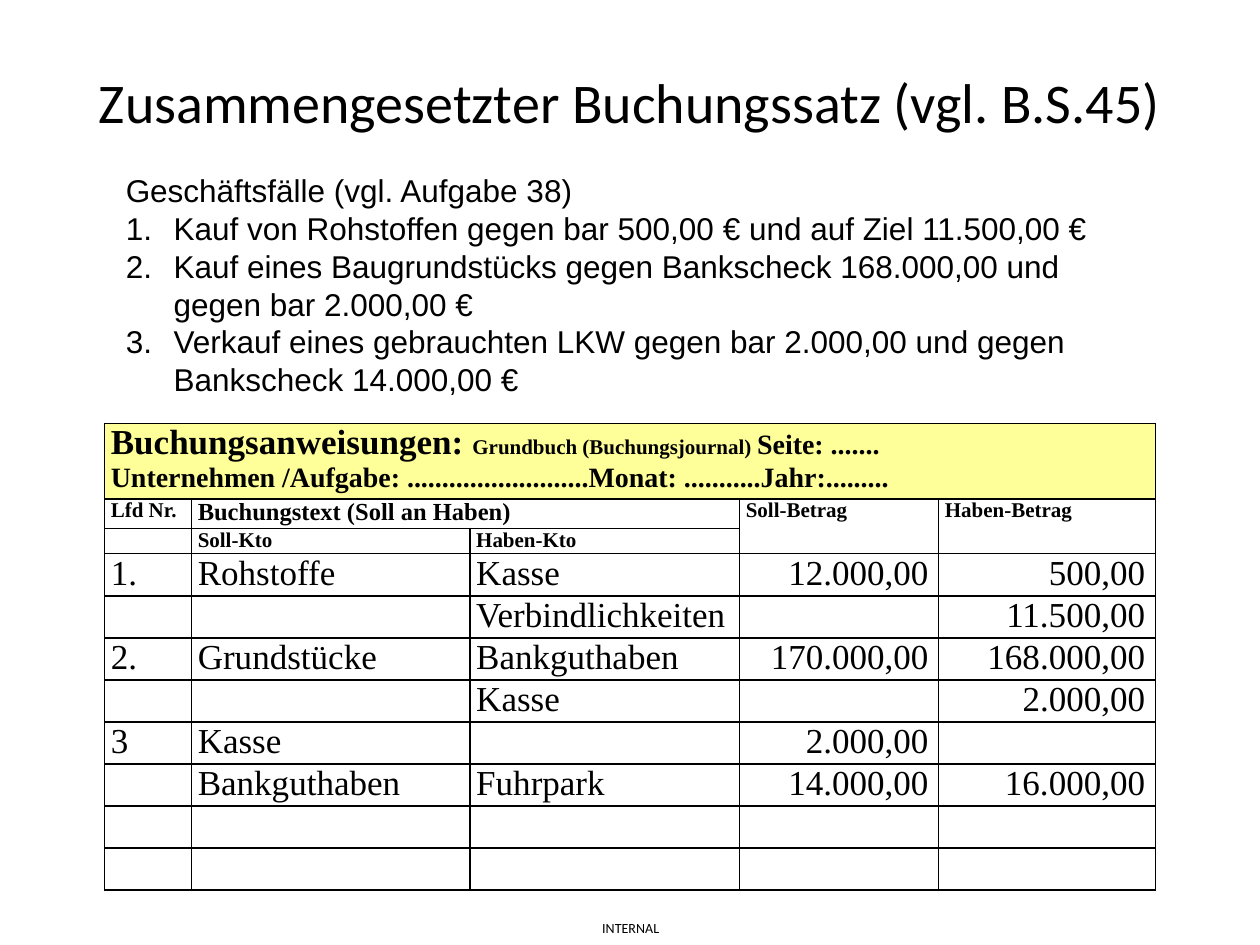
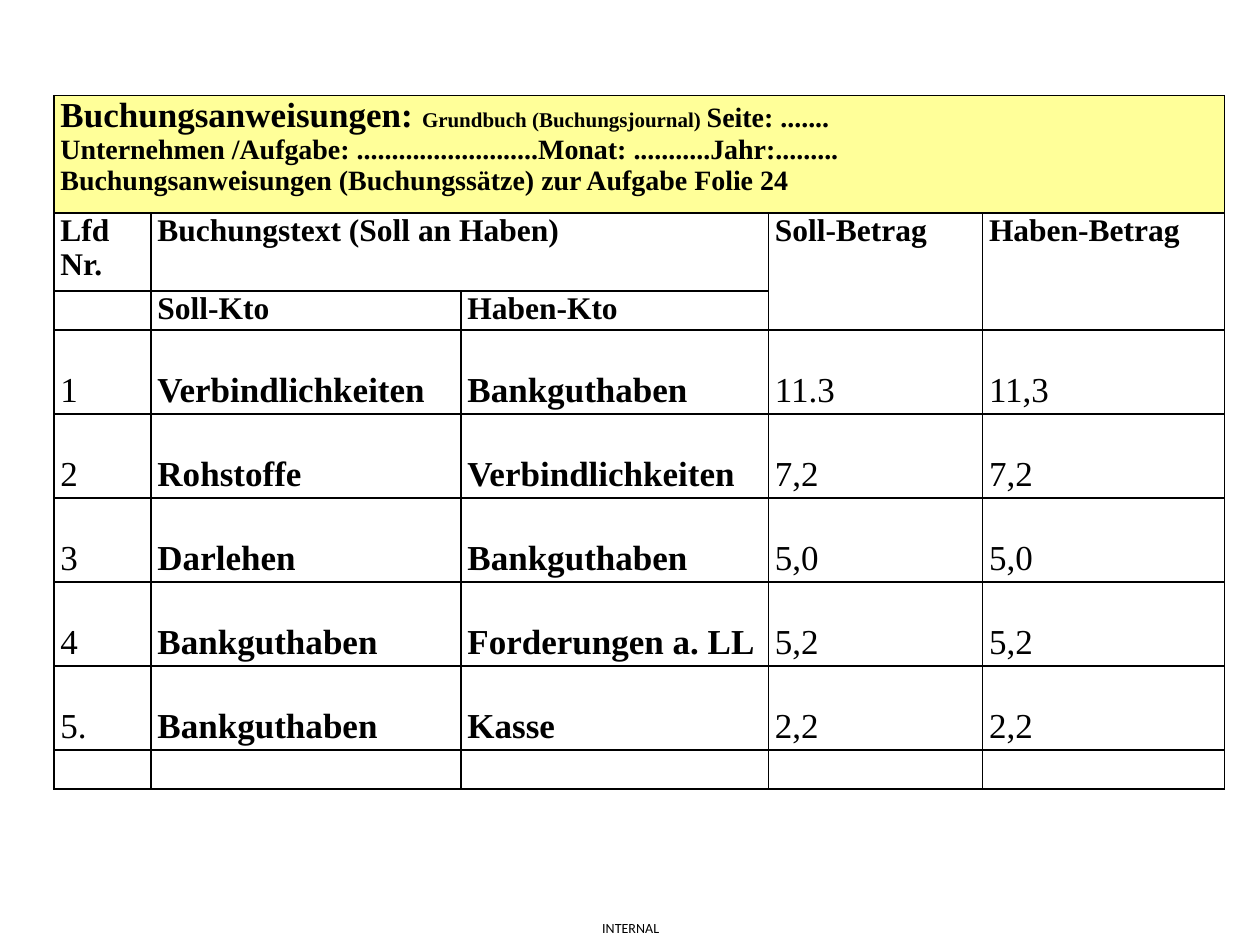
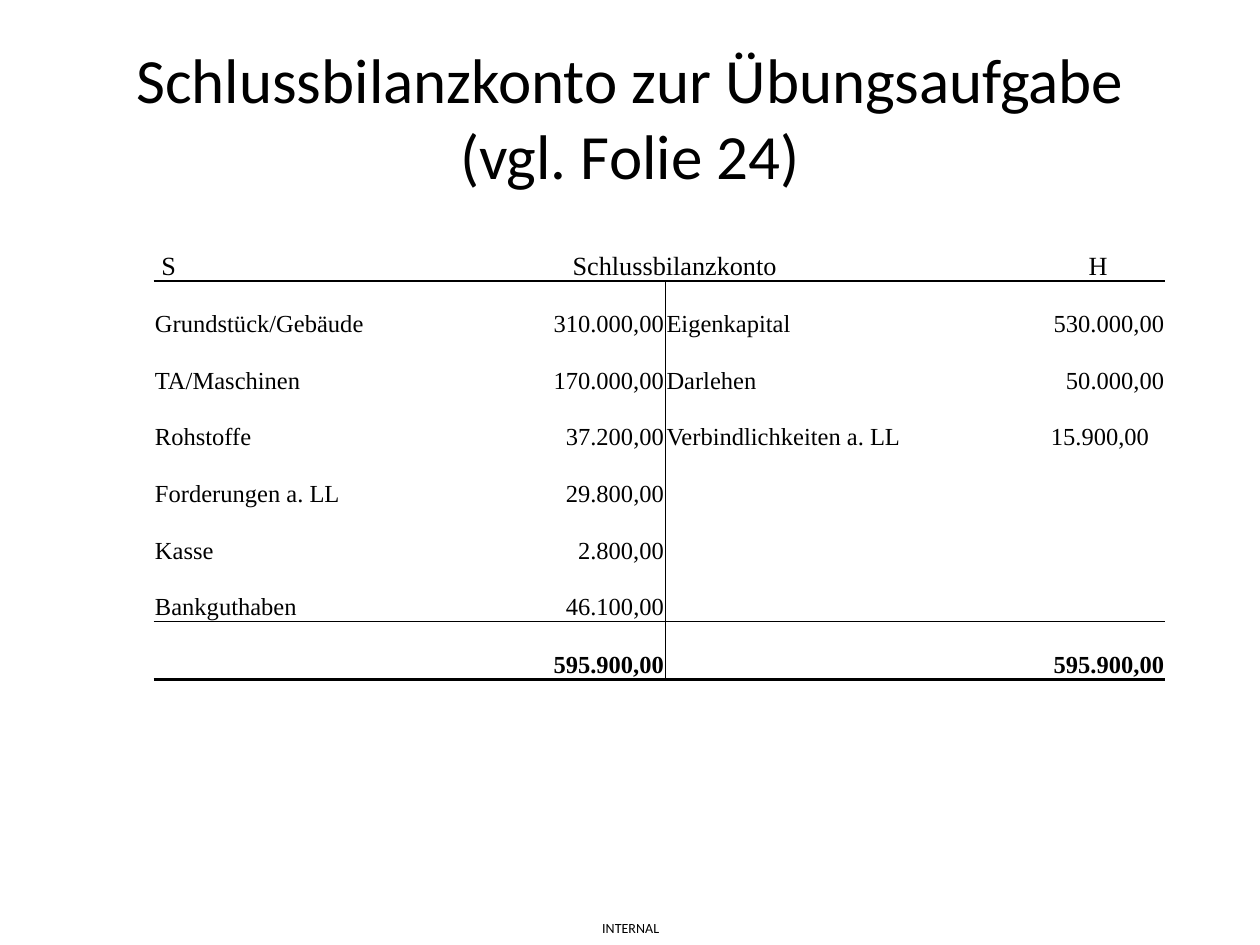
from copy import deepcopy
from dataclasses import dataclass

from lxml.etree import SubElement
from pptx import Presentation
from pptx.dml.color import RGBColor
from pptx.enum.text import MSO_ANCHOR as Anchor, PP_ALIGN as Align
from pptx.oxml.ns import qn
from pptx.util import Inches, Pt


@dataclass(frozen=True)
class Theme:
    """Colours, fonts and type sizes of the deck."""
    ink: str = "000000"
    band: str = "FFFF99"
    heading: str = "Calibri"
    body: str = "Arial"
    table: str = "Times New Roman"
    footer_size: int = 8
    body_size: int = 18
    entry_size: int = 20
    band_sizes: tuple = (20, 12, 16)
    account_sizes: tuple = (15, 14)
    no_style: str = "{2D5ABB26-0587-4C30-8999-92F81FD0307C}"


T = Theme()
W, H = 10, 7.5
FOOTER = "INTERNAL"
BAND = ("Buchungsanweisungen: ", "Grundbuch (Buchungsjournal) ",
        "Seite: .......\nUnternehmen /Aufgabe: ..........................Monat: ...........Jahr:.........")
HEADS = [["Lfd Nr.", "Buchungstext (Soll an Haben)", "", "Soll-Betrag", "Haben-Betrag"],
         ["", "Soll-Kto", "Haben-Kto", "", ""]]

CASES_TITLE = "Zusammengesetzter Buchungssatz (vgl. B.S.45)"
CASES_INTRO = "Geschäftsfälle (vgl. Aufgabe 38)"
CASES = ["Kauf von Rohstoffen gegen bar 500,00 € und auf Ziel 11.500,00 €",
         "Kauf eines Baugrundstücks gegen Bankscheck 168.000,00 und \ngegen bar 2.000,00 €",
         "Verkauf eines gebrauchten LKW gegen bar 2.000,00 und gegen\nBankscheck 14.000,00 €"]
CASE_ENTRIES = [
    ["1.", "Rohstoffe", "Kasse", "12.000,00", "500,00"],
    ["", "", "Verbindlichkeiten", "", "11.500,00"],
    ["2.", "Grundstücke", "Bankguthaben", "170.000,00", "168.000,00"],
    ["", "", "Kasse", "", "2.000,00"],
    ["3", "Kasse", "", "2.000,00", ""],
    ["", "Bankguthaben", "Fuhrpark", "14.000,00", "16.000,00"],
    [""] * 5,
    [""] * 5,
]

EXERCISE_NOTE = "\nBuchungsanweisungen (Buchungssätze) zur Aufgabe Folie 24"
EXERCISE_ENTRIES = [
    ["1", "Verbindlichkeiten", "Bankguthaben", "11.3", "11,3"],
    ["2", "Rohstoffe", "Verbindlichkeiten", "7,2", "7,2"],
    ["3", "Darlehen", "Bankguthaben", "5,0", "5,0"],
    ["4", "Bankguthaben", "Forderungen a. LL", "5,2", "5,2"],
    ["5.", "Bankguthaben", "Kasse", "2,2", "2,2"],
    [""] * 5,
]

BALANCE_TITLE = "Schlussbilanzkonto zur Übungsaufgabe\n(vgl. Folie 24)"
BALANCE = [
    ["S", "Schlussbilanzkonto", "", "H"],
    ["Grundstück/Gebäude", "310.000,00", "Eigenkapital", "530.000,00"],
    ["TA/Maschinen", "170.000,00", "Darlehen", "50.000,00"],
    ["Rohstoffe", "37.200,00", "Verbindlichkeiten a. LL", "15.900,00"],
    ["Forderungen a. LL", "29.800,00", "", ""],
    ["Kasse", "2.800,00", "", ""],
    ["Bankguthaben", "46.100,00", "", ""],
    ["", "595.900,00", "", "595.900,00"],
]
BALANCE_INDENTS = {(0, 0): (0.06, 0.01), (0, 3): (0.01, 0.46), (3, 3): (0.01, 0.13)}


def write(p, text, size, font, bold=False):
    """Add text to a paragraph, run by run, with line breaks at newlines."""
    for i, line in enumerate(text.split("\n")):
        if i:
            p.add_line_break()
            p._p[-1].append(deepcopy(r._r.rPr))
        r = p.add_run()
        r.text = line
        r.font.size, r.font.name, r.font.bold = Pt(size), font, bold
        r.font.color.rgb = RGBColor.from_string(T.ink)


def add_text_box(s, left, top, width, height):
    """Add a text box and return its frame."""
    return s.shapes.add_textbox(*map(Inches, (left, top, width, height))).text_frame


def add_slide(prs, title=None, size=0, height=0):
    """Add a slide with the footer and, if given, a title."""
    s = prs.slides.add_slide(prs.slide_layouts[5 if title else 6])
    if title:
        sp = s.shapes.title
        sp.left, sp.top, sp.width, sp.height = map(Inches, (0.05 * W, 0.04 * H, 0.9 * W, height))
        sp.text_frame.vertical_anchor = Anchor.MIDDLE
        p = sp.text_frame.paragraphs[0]
        p.alignment = Align.CENTER
        write(p, title, size, T.heading)
    tf = add_text_box(s, 4.78, 7.3, 0.47, 0.13)
    tf.margin_left = tf.margin_right = tf.margin_top = tf.margin_bottom = 0
    write(tf.paragraphs[0], FOOTER, T.footer_size, T.heading)
    return s


def add_grid(s, left, top, cols, rows):
    """Add an unstyled table with the given column widths and row heights."""
    frame = s.shapes.add_table(len(rows), len(cols), *map(Inches, (left, top, sum(cols), sum(rows))))
    table = frame.table
    table.first_row = table.horz_banding = False
    table._tbl.tblPr.find(qn("a:tableStyleId")).text = T.no_style
    for col, width in zip(table.columns, cols):
        col.width = Inches(width)
    for row, height in zip(table.rows, rows):
        row.height = Inches(height)
    return table


def set_borders(cell, widths):
    """Draw the cell borders named in widths and hide the others."""
    tc_pr = cell._tc.get_or_add_tcPr()
    for side in "LRTB":
        width = widths.get(side, 0)
        ln = SubElement(tc_pr, qn(f"a:ln{side}"), w=str(Pt(width)))
        if width:
            fill = SubElement(ln, qn("a:solidFill"))
            SubElement(fill, qn("a:srgbClr"), val=T.ink)
        else:
            SubElement(ln, qn("a:noFill"))


def set_cell(cell, runs, borders, margins, align=Align.LEFT, anchor=Anchor.TOP, fill=None):
    """Fill a cell with (text, size, bold) runs and format it."""
    cell.margin_left, cell.margin_right, cell.margin_top, cell.margin_bottom = map(Inches, margins)
    cell.vertical_anchor = anchor
    set_borders(cell, borders)
    if fill:
        cell.fill.solid()
        cell.fill.fore_color.rgb = RGBColor.from_string(fill)
    else:
        cell.fill.background()
    p = cell.text_frame.paragraphs[0]
    p.alignment = align
    for text, size, bold in runs:
        if text:
            write(p, text, size, T.table, bold)
        else:
            SubElement(p._p, qn("a:endParaRPr"), sz=str(size * 100))


def add_journal(s, left, top, cols, rows, entries, head_sizes, note="",
                bold_cols=(), right_cols=(), anchor=Anchor.TOP):
    """Add a journal: yellow band, two header rows and the entries."""
    table = add_grid(s, left, top, cols, rows)
    table.cell(0, 0).merge(table.cell(0, 4))
    table.cell(1, 1).merge(table.cell(1, 2))
    box = dict.fromkeys("LRTB", 1)
    band = [(text, size, True) for text, size in zip((*BAND[:2], BAND[2] + note), T.band_sizes)]
    set_cell(table.cell(0, 0), band, box, (0.05, 0.05, 0, 0), fill=T.band)
    for i, texts in enumerate(HEADS + entries, 1):
        for j, text in enumerate(texts):
            cell = table.cell(i, j)
            if cell.is_spanned:
                continue
            head = i <= len(HEADS)
            right = not head and j in right_cols
            open_side = {1: "B", 2: "T"}.get(i) if j > 2 else None
            borders = {side: w for side, w in box.items() if side != open_side}
            size = head_sizes[(i, j) == (1, 1)] if head else T.entry_size if text else T.body_size
            set_cell(cell, [(text, size, head or j in bold_cols)], borders,
                     (0.05, 0.08 if right else 0.05, 0, 0.03 if anchor == Anchor.BOTTOM and text and not head else 0),
                     Align.RIGHT if right else Align.LEFT, Anchor.TOP if head else anchor)


def add_cases(prs):
    """Build the slide with the business cases and their entries."""
    s = add_slide(prs, CASES_TITLE, 32, 1.01)
    tf = add_text_box(s, 0.9, 1.31, 8.43, 1.92)
    tf.word_wrap = True
    write(tf.paragraphs[0], CASES_INTRO, T.body_size, T.body)
    for case in CASES:
        p = tf.add_paragraph()
        p_pr = p._p.get_or_add_pPr()
        p_pr.set("marL", str(Inches(0.38)))
        p_pr.set("indent", str(-Inches(0.38)))
        SubElement(p_pr, qn("a:buFont"), typeface=T.body)
        SubElement(p_pr, qn("a:buAutoNum"), type="arabicPeriod")
        write(p, case, T.body_size, T.body)
    add_journal(s, 0.83, 3.36, [0.69, 2.21, 2.14, 1.58, 1.72],
                [0.6, 0.23, 0.2] + [1 / 3] * len(CASE_ENTRIES),
                CASE_ENTRIES, (12, 14), right_cols=(3, 4))


def add_exercise(prs):
    """Build the slide with the entries of the exercise."""
    s = add_slide(prs)
    add_journal(s, 0.43, 0.76, [0.77, 2.46, 2.44, 1.7, 1.92],
                [0.93, 0.62, 0.31] + [2 / 3] * (len(EXERCISE_ENTRIES) - 1) + [0.31],
                EXERCISE_ENTRIES, (18, 18), EXERCISE_NOTE, bold_cols=(1, 2), anchor=Anchor.BOTTOM)


def add_balance(prs):
    """Build the slide with the closing balance account."""
    s = add_slide(prs, BALANCE_TITLE, 36, 1.25)
    last = len(BALANCE) - 1
    table = add_grid(s, 1.22, 1.7, [2.15, 1.91, 2.06, 1.91], [0.53] + [0.45] * (last - 1) + [0.46])
    table.cell(0, 1).merge(table.cell(0, 2))
    rules = {0: {"B": 1}, 1: {"T": 1}, last - 1: {"B": 0.5}, last: {"T": 0.5, "B": 2}}
    divider = {1: {"R": 0.5}, 2: {"L": 0.5}}
    for i, texts in enumerate(BALANCE):
        for j, text in enumerate(texts):
            borders = rules.get(i, {}) | (divider.get(j, {}) if i else {})
            align = Align.CENTER if (i, j) == (0, 1) else Align.RIGHT if j % 2 else Align.LEFT
            margins = BALANCE_INDENTS.get((i, j), (0.01, 0.01))
            set_cell(table.cell(i, j), [(text, T.account_sizes[i > 0], i == last)], borders,
                     (*margins, 0.01, 0), align, Anchor.BOTTOM)


def main():
    """Build and save the deck."""
    prs = Presentation()
    prs.slide_width, prs.slide_height = Inches(W), Inches(H)
    for build in (add_cases, add_exercise, add_balance):
        build(prs)
    prs.save("out.pptx")


if __name__ == "__main__":
    main()
